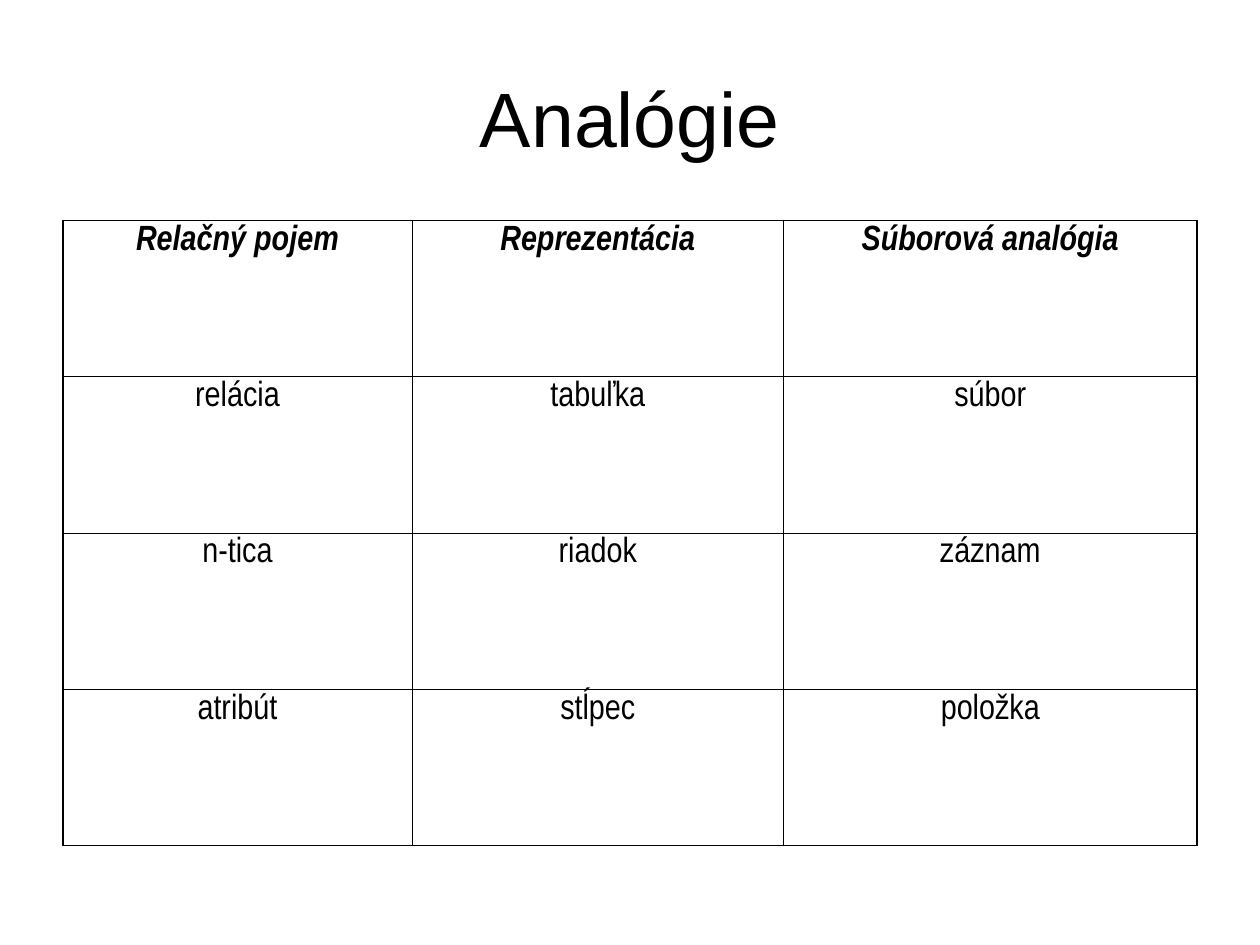
import pptx
import pptx.util
import pptx.dml.color
import pptx.enum.text
import pptx.oxml.ns
import lxml.etree

Inches, Pt = pptx.util.Inches, pptx.util.Pt
CENTER = pptx.enum.text.PP_ALIGN.CENTER

# Content
HEADING = "Analógie"
ANALOGIES = [
    ("Relačný pojem", "Reprezentácia", "Súborová analógia"),
    ("relácia", "tabuľka", "súbor"),
    ("n-tica", "riadok", "záznam"),
    ("atribút", "stĺpec", "položka"),
]

# Style
COLORS = {"ink": "000000", "paper": "FFFFFF"}
COLUMN_WIDTHS = [2.77, 2.95, 3.28]
ROW_HEIGHT = 1.24
THICK, THIN = 0.96, 0.45
HANGING = 0.38


def write(paragraph, text, font_name, size, emphasis=False):
    paragraph.alignment = CENTER
    run = paragraph.add_run()
    run.text = text
    run.font.name = font_name
    run.font.size = Pt(size)
    run.font.bold = run.font.italic = emphasis
    run.font.color.rgb = pptx.dml.color.RGBColor.from_string(COLORS["ink"])


def add_border(cell, side, width):
    qn = pptx.oxml.ns.qn
    properties = cell._tc.get_or_add_tcPr()
    line = lxml.etree.SubElement(properties, qn(f"a:ln{side}"), w=str(Pt(width)))
    fill = lxml.etree.SubElement(line, qn("a:solidFill"))
    lxml.etree.SubElement(fill, qn("a:srgbClr"), val=COLORS["ink"])


deck = pptx.Presentation()
deck.slide_width, deck.slide_height = Inches(10), Inches(7.5)
slide = deck.slides.add_slide(deck.slide_layouts[5])
slide.background.fill.solid()
slide.background.fill.fore_color.rgb = pptx.dml.color.RGBColor.from_string(COLORS["paper"])

# Title
title = slide.shapes.title
title.left, title.top = Inches(0.5), Inches(0.3)
title.width, title.height = Inches(9), Inches(1.25)
title.text_frame.vertical_anchor = pptx.enum.text.MSO_ANCHOR.MIDDLE
write(title.text_frame.paragraphs[0], HEADING, "Arial", 44)

# Table of analogies
last_row, last_column = len(ANALOGIES) - 1, len(COLUMN_WIDTHS) - 1
analogies = slide.shapes.add_table(
    len(ANALOGIES), len(COLUMN_WIDTHS), Inches(0.5), Inches(1.75),
    Inches(sum(COLUMN_WIDTHS)), Inches(ROW_HEIGHT * len(ANALOGIES))).table
analogies.first_row = analogies.horz_banding = False
for column, width in zip(analogies.columns, COLUMN_WIDTHS):
    column.width = Inches(width)

for r, terms in enumerate(ANALOGIES):
    analogies.rows[r].height = Inches(ROW_HEIGHT)
    for c, term in enumerate(terms):
        cell = analogies.cell(r, c)
        # The outer frame and the rule below the header are thicker
        thick_sides = {"L": c == 0, "R": c == last_column,
                       "T": r <= 1, "B": r in (0, last_row)}
        for side, is_thick in thick_sides.items():
            add_border(cell, side, THICK if is_thick else THIN)
        cell.fill.background()
        paragraph = cell.text_frame.paragraphs[0]
        indents = paragraph._p.get_or_add_pPr()
        indents.set("marL", str(Inches(HANGING)))
        indents.set("indent", str(-Inches(HANGING)))
        paragraph.line_spacing = 0.9
        write(paragraph, term, "Arial Narrow", 20, emphasis=r == 0)

deck.save("out.pptx")
